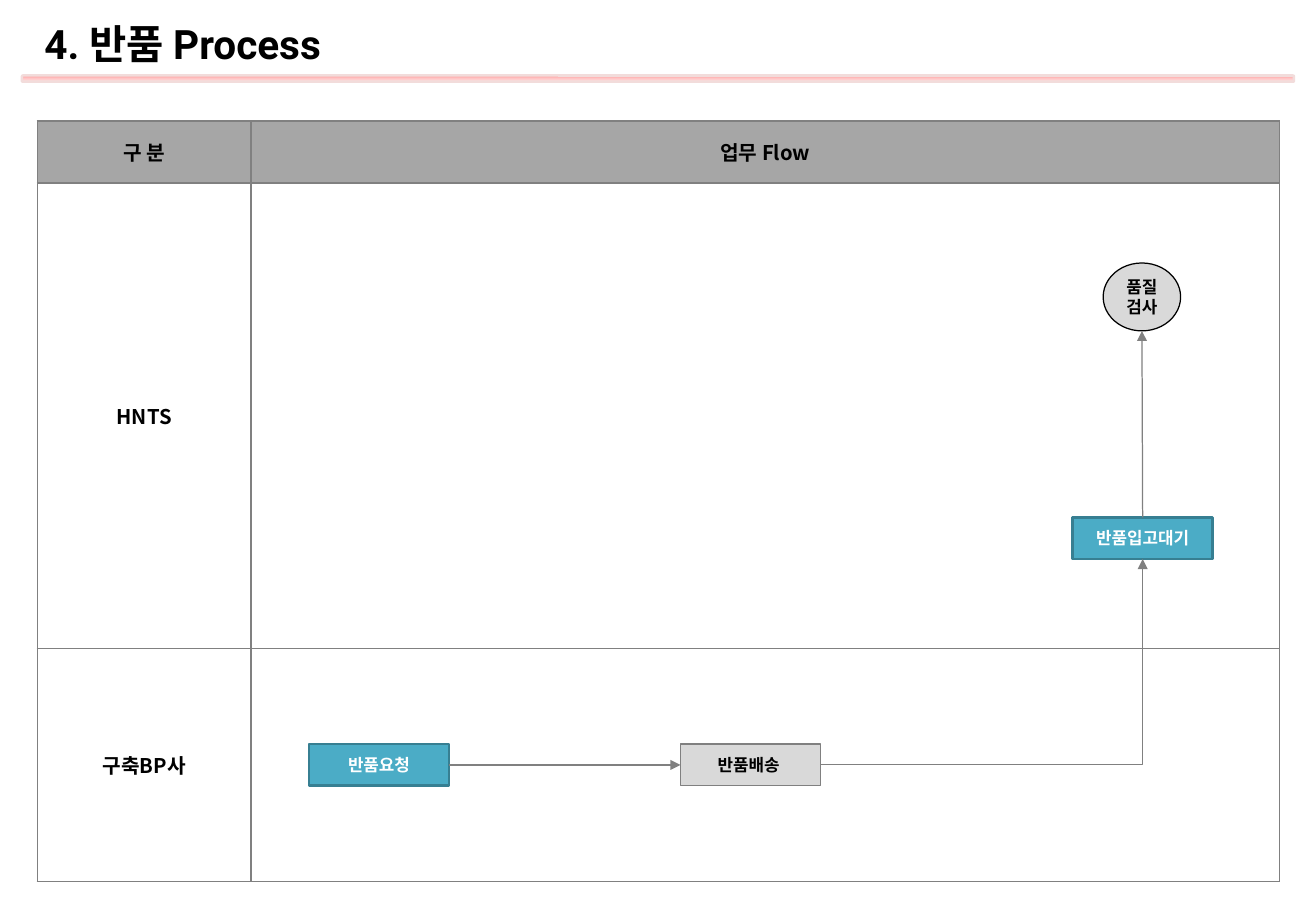
from copy import deepcopy
from dataclasses import dataclass

from lxml import etree
from pptx import Presentation, util as u
from pptx.dml.color import RGBColor
from pptx.enum import shapes, text
from pptx.oxml import ns

KIND = shapes.MSO_SHAPE
GRAY, BLACK, WHITE = "808080", "000000", "FFFFFF"
SILVER, TEAL, DEEP = "D9D9D9", "4BACC6", "377F92"


@dataclass
class Step:
    label: str
    left: float
    top: float
    width: float = 2.93
    height: float = 0.87
    kind: KIND = KIND.RECTANGLE
    fill: str = TEAL
    line: str = DEEP
    weight: float = 1.5
    ink: str = WHITE

    @property
    def mid(self) -> float:
        return self.left + self.width / 2

    @property
    def axis(self) -> float:
        return self.top + self.height / 2

    @property
    def right(self) -> float:
        return self.left + self.width

    @property
    def base(self) -> float:
        return self.top + self.height


@dataclass
class Arrow:
    start: tuple[float, float]
    end: tuple[float, float]
    bent: bool = False


def paint(target, color: str) -> None:
    target.solid()
    target.fore_color.rgb = RGBColor.from_string(color)


def stroke(line, color: str, weight: float) -> None:
    paint(line.fill, color)
    line.width = u.Pt(weight)


def write(frame, label: str, size: float, face: str, ink: str,
          align=text.PP_ALIGN.CENTER) -> None:
    frame.text = label
    for para in frame.paragraphs:
        para.alignment = align
        font = para.font
        font.size, font.name, font.bold = u.Pt(size), face, True
        font.color.rgb = RGBColor.from_string(ink)


def add_step(slide, step: Step) -> None:
    shape = slide.shapes.add_shape(
        step.kind, u.Cm(step.left), u.Cm(step.top),
        u.Cm(step.width), u.Cm(step.height))
    shape.shadow.inherit = False
    paint(shape.fill, step.fill)
    stroke(shape.line, step.line, step.weight)
    frame = shape.text_frame
    frame.margin_left = frame.margin_right = 0
    frame.margin_top = frame.margin_bottom = 0
    frame.vertical_anchor = text.MSO_ANCHOR.MIDDLE
    write(frame, step.label, 10, "Arial", step.ink)


def add_arrow(slide, arrow: Arrow) -> None:
    kind = shapes.MSO_CONNECTOR.ELBOW if arrow.bent else shapes.MSO_CONNECTOR.STRAIGHT
    link = slide.shapes.add_connector(
        kind, *(u.Cm(v) for v in arrow.start + arrow.end))
    stroke(link.line, GRAY, 0.75)
    props = link._element.spPr
    etree.SubElement(props.find(ns.qn("a:ln")), ns.qn("a:tailEnd"), type="triangle")
    etree.SubElement(props, ns.qn("a:effectLst"))
    if arrow.bent:
        props.find(ns.qn("a:prstGeom")).set("prst", "bentConnector2")


def add_rule(slide) -> None:
    rule = slide.shapes.add_shape(
        KIND.ROUNDED_RECTANGLE, u.Cm(0.46), u.Cm(1.58), u.Cm(26.6), u.Cm(0.13))
    rule.shadow.inherit = False
    rule.fill.gradient()
    rule.fill.gradient_angle = 270
    stops = rule._element.spPr.find(".//" + ns.qn("a:gsLst"))
    stops.append(deepcopy(stops[-1]))
    colors = ("FFA0A0", "FFC5C5", "FFE3E3")
    for i, (stop, color) in enumerate(zip(rule.fill.gradient_stops, colors)):
        stop.position = i / 2
        stop.color.rgb = RGBColor.from_string(color)
    stroke(rule.line, "F2DCDB", 1.5)


def add_title(slide) -> None:
    title = slide.shapes.add_textbox(u.Cm(0.68), u.Cm(0.2), u.Cm(26.37), u.Cm(1.42))
    frame = title.text_frame
    frame.word_wrap = True
    frame.vertical_anchor = text.MSO_ANCHOR.MIDDLE
    write(frame, "4. 반품 Process", 24, "Roboto", BLACK, text.PP_ALIGN.LEFT)


def edge(cell) -> None:
    props = cell._tc.get_or_add_tcPr()
    for side in ("lnL", "lnR", "lnT", "lnB"):
        line = etree.SubElement(props, ns.qn("a:" + side), w=str(u.Pt(1)))
        fill = etree.SubElement(line, ns.qn("a:solidFill"))
        etree.SubElement(fill, ns.qn("a:srgbClr"), val=GRAY)


def add_lanes(slide) -> None:
    rows = (("구 분", "업무 Flow"), ("HNTS", ""), ("구축BP사", ""))
    widths, heights = (4.47, 21.51), (1.3, 9.73, 4.87)
    frame = slide.shapes.add_table(
        len(rows), len(widths), u.Cm(0.78), u.Cm(2.53),
        u.Cm(sum(widths)), u.Cm(sum(heights)))
    table = frame.table
    for col, width in zip(table.columns, widths):
        col.width = u.Cm(width)
    for r, (row, height) in enumerate(zip(rows, heights)):
        table.rows[r].height = u.Cm(height)
        for c, label in enumerate(row):
            cell = table.cell(r, c)
            edge(cell)
            paint(cell.fill, WHITE if r else "A6A6A6")
            cell.margin_left = cell.margin_right = u.Cm(0.1)
            cell.vertical_anchor = text.MSO_ANCHOR.MIDDLE
            if label:
                write(cell.text_frame, label, 12, "Noto Sans CJK KR", BLACK)


def main() -> None:
    deck = Presentation()
    deck.slide_width, deck.slide_height = u.Cm(27.52), u.Cm(19.05)
    slide = deck.slides.add_slide(deck.slide_layouts[6])
    add_rule(slide)
    add_lanes(slide)
    add_title(slide)

    ask = Step("반품요청", 6.46, 15.56)
    ship = Step("반품배송 ", 14.23, 15.56,
                fill=SILVER, line=GRAY, weight=0.75, ink=BLACK)
    wait = Step("반품입고대기", 22.43, 10.82)
    check = Step("품질\n검사", 23.07, 5.5, 1.62, 1.42, KIND.OVAL,
                 SILVER, BLACK, 0.75, BLACK)
    for step in (ask, ship, wait, check):
        add_step(slide, step)
    for arrow in (
        Arrow((ask.right, ask.axis), (ship.left, ship.axis)),
        Arrow((wait.mid, wait.top), (check.mid, check.base)),
        Arrow((ship.right, ship.axis), (wait.mid, wait.base), True),
    ):
        add_arrow(slide, arrow)
    deck.save("out.pptx")


if __name__ == "__main__":
    main()
